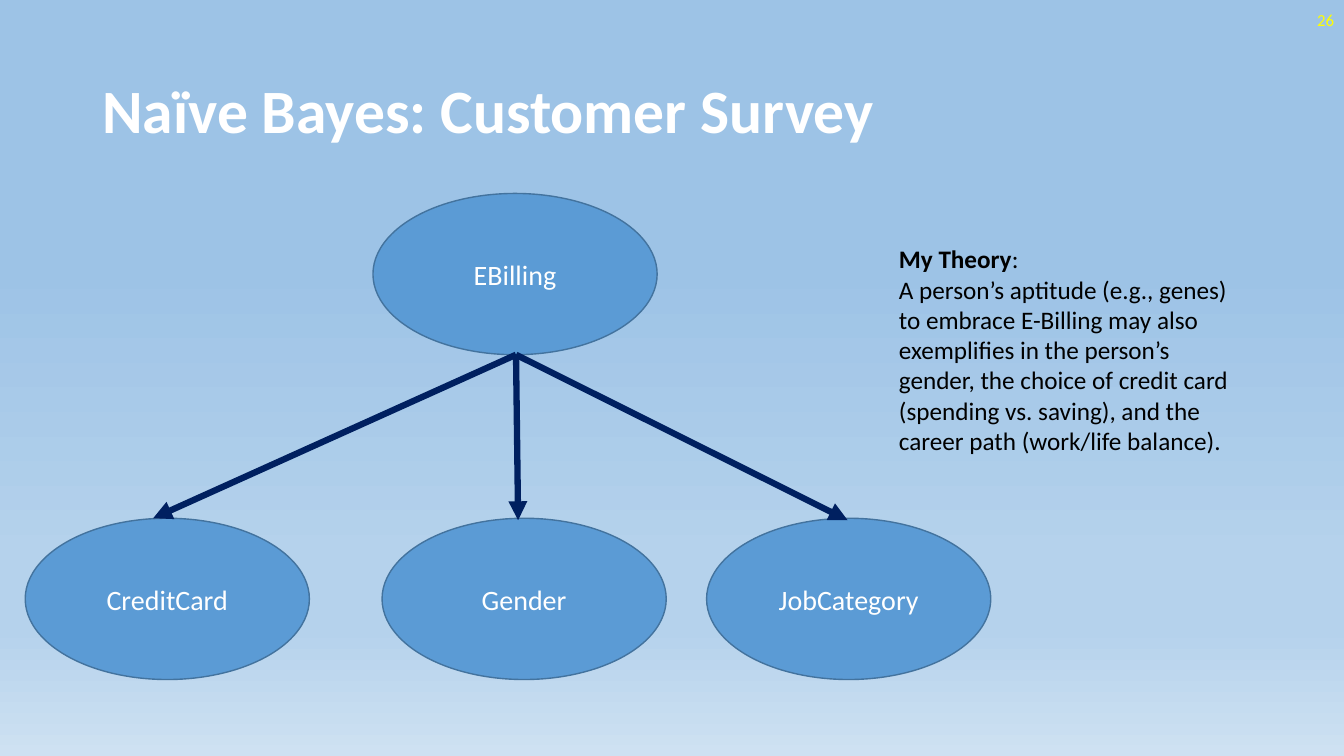
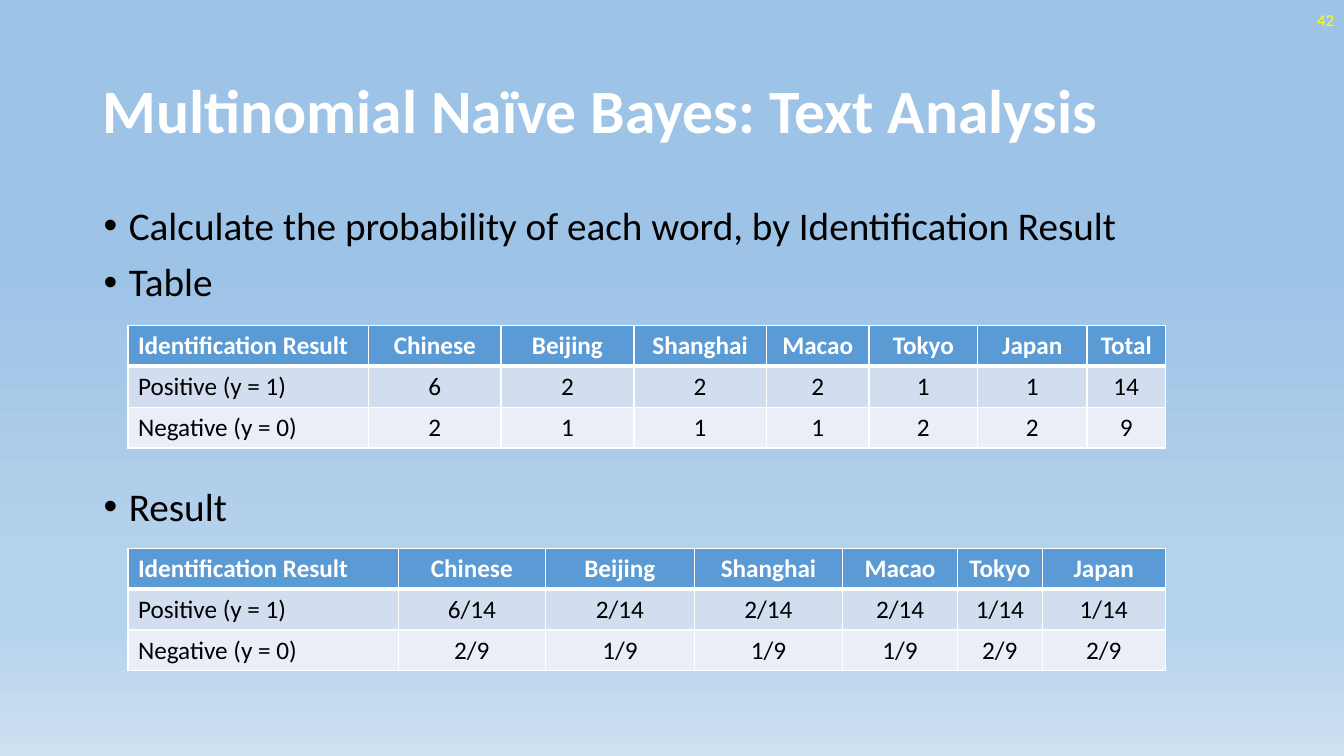
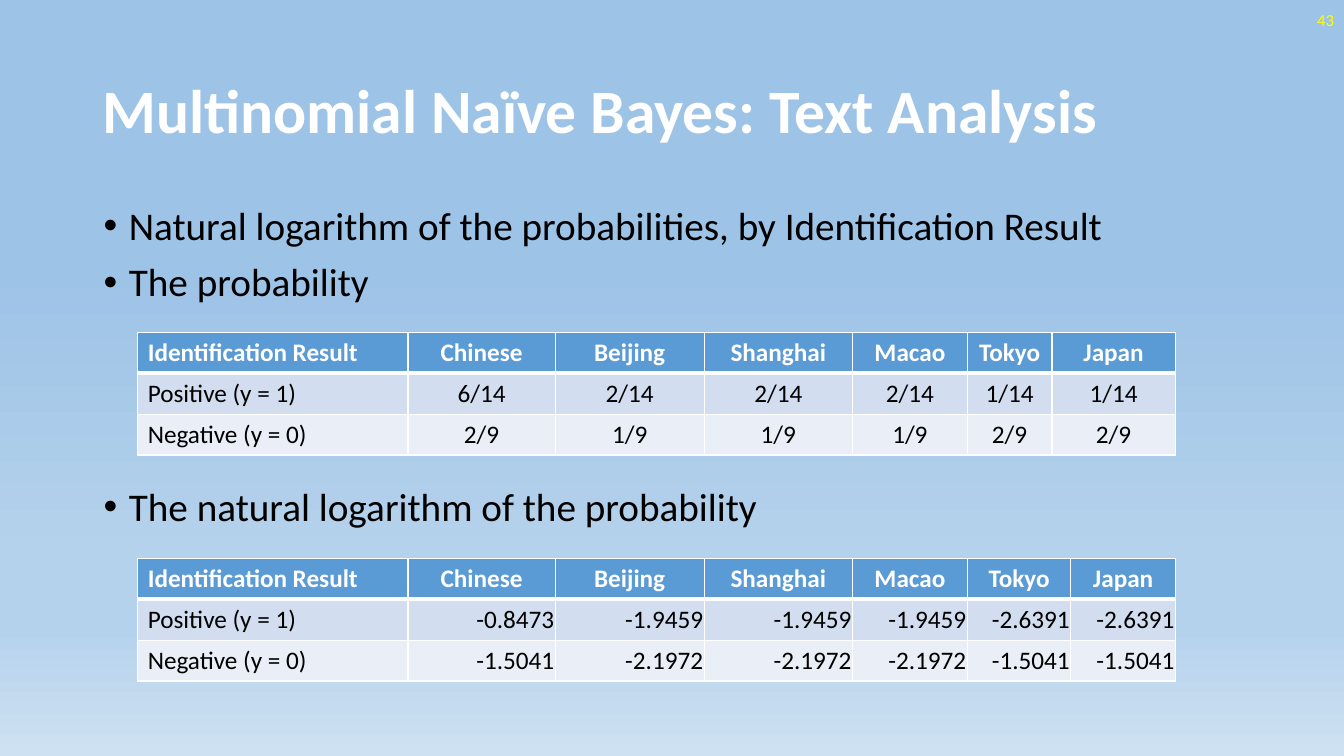
import dataclasses

import lxml.etree
import pptx
import pptx.dml.color
import pptx.enum.shapes
import pptx.enum.text
import pptx.oxml.ns
import pptx.util

Pt = pptx.util.Pt
ALIGN = pptx.enum.text.PP_ALIGN
MIDDLE = pptx.enum.text.MSO_ANCHOR.MIDDLE
TOP = pptx.enum.text.MSO_ANCHOR.TOP


@dataclasses.dataclass(frozen=True)
class Theme:
    """Hold the colours, type sizes and font of the deck."""
    font: str = "Calibri"
    white: str = "FFFFFF"
    black: str = "000000"
    yellow: str = "FFFF00"
    blue: str = "5B9BD5"
    edge: str = "43739E"
    navy: str = "002060"
    bands: tuple = ("D2DEEF", "EAEFF7")
    sky: tuple = ((35, "9DC3E6"), (74, "B5D2EC"), (83, "B5D2EC"), (100, "CEE1F2"))
    head: int = 44
    list: int = 28
    node: int = 20
    text: int = 18
    small: int = 12


THEME = Theme()
TITLE = (66, 28.8, 828, 104.4)
NUMBER = (744, 0, 216, 28.8)
BODY = (67, 144, 828, 342.7)
ROW = 29.2
LABELS = ("Identification Result", "Positive (y = 1)", "Negative (y = 0)")
CITIES = ["Chinese", "Beijing", "Shanghai", "Macao", "Tokyo", "Japan"]
COUNTS = [CITIES + ["Total"], [6, 2, 2, 2, 1, 1, 14], [2, 1, 1, 1, 2, 2, 9]]
ODDS = [CITIES] + [[f"{n}/{row[-1]}" for n in row[:-1]] for row in COUNTS[1:]]
LOGS = [
    CITIES,
    ["-0.8473", "-1.9459", "-1.9459", "-1.9459", "-2.6391", "-2.6391"],
    ["-1.5041", "-2.1972", "-2.1972", "-2.1972", "-1.5041", "-1.5041"],
]
WIDE = (172, 94.5, 95, 94.5, 73.5, 77.5, 78.2, 56)
MAIN = (193, 105.3, 106.3, 106, 82)
ODDCOLS = MAIN + (60.5, 88)
LOGCOLS = MAIN + (74, 74.7)


def rgb(code):
    """Return a colour from its hex code."""
    return pptx.dml.color.RGBColor.from_string(code)


def node(host, tag, **attrs):
    """Append a drawing element to an XML parent."""
    return lxml.etree.SubElement(host, pptx.oxml.ns.qn(tag), attrs)


def write(para, text, size=THEME.text, color=THEME.black, bold=False, align=ALIGN.LEFT):
    """Add a formatted run to a paragraph."""
    para.alignment = align
    run = para.add_run()
    run.text = text
    font = run.font
    font.name, font.size, font.bold = THEME.font, Pt(size), bold
    font.color.rgb = rgb(color)


def place(shape, box):
    """Move a shape to a box given in points."""
    shape.left, shape.top, shape.width, shape.height = map(Pt, box)


def area(slide, box, anchor=TOP):
    """Add a wrapping text box and return its frame."""
    frame = slide.shapes.add_textbox(*map(Pt, box)).text_frame
    frame.word_wrap = True
    frame.vertical_anchor = anchor
    return frame


def paint(master):
    """Give the master its sky gradient."""
    fill = master.background.fill
    fill.gradient()
    fill.gradient_angle = 270
    stops = next(master.element.iter(pptx.oxml.ns.qn("a:gsLst")))
    for stop in list(stops):
        stops.remove(stop)
    for place_at, code in THEME.sky:
        stop = node(stops, "a:gs", pos=str(place_at * 1000))
        node(stop, "a:srgbClr", val=code)


def page(deck, title, number):
    """Add a slide with its title and page number."""
    slide = deck.slides.add_slide(deck.slide_layouts[5])
    head = slide.shapes.title
    place(head, TITLE)
    frame = head.text_frame
    frame.word_wrap = True
    frame.auto_size = pptx.enum.text.MSO_AUTO_SIZE.NONE
    frame.vertical_anchor = MIDDLE
    para = frame.paragraphs[0]
    para.line_spacing = 0.9
    write(para, title, size=THEME.head, color=THEME.white, bold=True)
    mark = area(slide, NUMBER, MIDDLE).paragraphs[0]
    write(mark, str(number), size=THEME.small, color=THEME.yellow, align=ALIGN.RIGHT)
    return slide


def points(slide, box, items):
    """Write bullets from pairs of space before and text."""
    frame = area(slide, box)
    for index, (gap, text) in enumerate(items):
        para = frame.add_paragraph() if index else frame.paragraphs[0]
        props = para._p.get_or_add_pPr()
        props.set("marL", str(Pt(18)))
        props.set("indent", str(Pt(-18)))
        node(props, "a:buFont", typeface="Arial")
        node(props, "a:buChar", char="•")
        para.line_spacing = 0.9
        para.space_before = Pt(gap)
        write(para, text, size=THEME.list)


def border(cell, row):
    """Draw white cell borders, heavy below the header."""
    props = cell._tc.get_or_add_tcPr()
    heavy = {(0, "B"), (1, "T")}
    for side in "LRTB":
        width = 3 if (row, side) in heavy else 1
        line = node(props, f"a:ln{side}", w=str(Pt(width)))
        node(node(line, "a:solidFill"), "a:srgbClr", val=THEME.white)


def grid(slide, left, top, cols, rows, tight=False):
    """Add a table of results, with tight figures set right."""
    frame = slide.shapes.add_table(
        len(rows), len(cols), Pt(left), Pt(top), Pt(sum(cols)), Pt(ROW * len(rows)))
    table = frame.table
    table.first_row = table.horz_banding = False
    for col, width in zip(table.columns, cols):
        col.width = Pt(width)
    for r, (label, values) in enumerate(zip(LABELS, rows)):
        table.rows[r].height = Pt(ROW)
        for c, value in enumerate([label, *values]):
            cell = table.cell(r, c)
            border(cell, r)
            cell.fill.solid()
            cell.fill.fore_color.rgb = rgb(THEME.bands[r - 1] if r else THEME.blue)
            cell.vertical_anchor = MIDDLE
            align = ALIGN.CENTER if c else ALIGN.LEFT
            if tight and r and c:
                align = ALIGN.RIGHT
                cell.margin_left = cell.margin_top = cell.margin_right = Pt(0.75)
                cell.margin_bottom = 0
            write(cell.text_frame.paragraphs[0], str(value), bold=not r, align=align,
                  color=THEME.black if r else THEME.white)


def oval(slide, left, top, text):
    """Add one labelled node of the graph."""
    shape = slide.shapes.add_shape(
        pptx.enum.shapes.MSO_SHAPE.OVAL, Pt(left), Pt(top), Pt(203), Pt(115.2))
    shape.shadow.inherit = False
    shape.fill.solid()
    shape.fill.fore_color.rgb = rgb(THEME.blue)
    shape.line.color.rgb = rgb(THEME.edge)
    shape.line.width = Pt(1)
    shape.text_frame.vertical_anchor = MIDDLE
    write(shape.text_frame.paragraphs[0], text, size=THEME.node,
          color=THEME.white, align=ALIGN.CENTER)


def arrow(slide, start, end):
    """Draw a thick arrow between two points."""
    kind = pptx.enum.shapes.MSO_CONNECTOR.STRAIGHT
    link = slide.shapes.add_connector(kind, *map(Pt, start + end))
    link.line.color.rgb = rgb(THEME.navy)
    link.line.width = Pt(4.5)
    node(link.line._get_or_add_ln(), "a:tailEnd", type="triangle")
    node(link._element.spPr, "a:effectLst")


def graph(slide, left, top):
    """Draw the parent node, its three children and the arrows."""
    low = top + 232
    oval(slide, left + 248.4, top, "EBilling")
    root = (left + 350.6, top + 115.2)
    kids = ((0, "CreditCard", 91.4, 0), (254.9, "Gender", 352.1, 1.4),
            (486.7, "JobCategory", 587.5, 1.4))
    for shift, text, tip, drop in kids:
        oval(slide, left + shift, low, text)
        arrow(slide, root, (left + tip, low + drop))


def theory(slide, box):
    """Write the theory beside the graph."""
    frame = area(slide, box)
    head = frame.paragraphs[0]
    write(head, "My Theory", bold=True)
    write(head, ":")
    write(frame.add_paragraph(),
          "A person’s aptitude (e.g., genes) to embrace E-Billing may also exemplifies "
          "in the person’s gender, the choice of credit card (spending vs. saving), "
          "and the career path (work/life balance).")


def study(deck, number, texts, tables):
    """Add a text analysis slide with three bullets and two tables."""
    slide = page(deck, "Multinomial Naïve Bayes: Text Analysis", number)
    points(slide, BODY, zip((0, 10, 130), texts))
    for table in tables:
        grid(slide, *table)


def main():
    """Build and save the deck."""
    deck = pptx.Presentation()
    deck.slide_width, deck.slide_height = Pt(960), Pt(540)
    paint(deck.slide_master)
    survey = page(deck, "Naïve Bayes: Customer Survey", 26)
    graph(survey, 18, 138.2)
    theory(survey, (635, 170.6, 258.5, 159.8))
    study(deck, 42,
          ("Calculate the probability of each word, by Identification Result",
           "Table", "Result"),
          ((91.4, 232.4, WIDE, COUNTS), (91.4, 391.6, ODDCOLS, ODDS)))
    study(deck, 43,
          ("Natural logarithm of the probabilities, by Identification Result",
           "The probability", "The natural logarithm of the probability"),
          ((98.4, 237.4, ODDCOLS, ODDS), (98.4, 398.9, LOGCOLS, LOGS, True)))
    deck.save("out.pptx")


if __name__ == "__main__":
    main()
